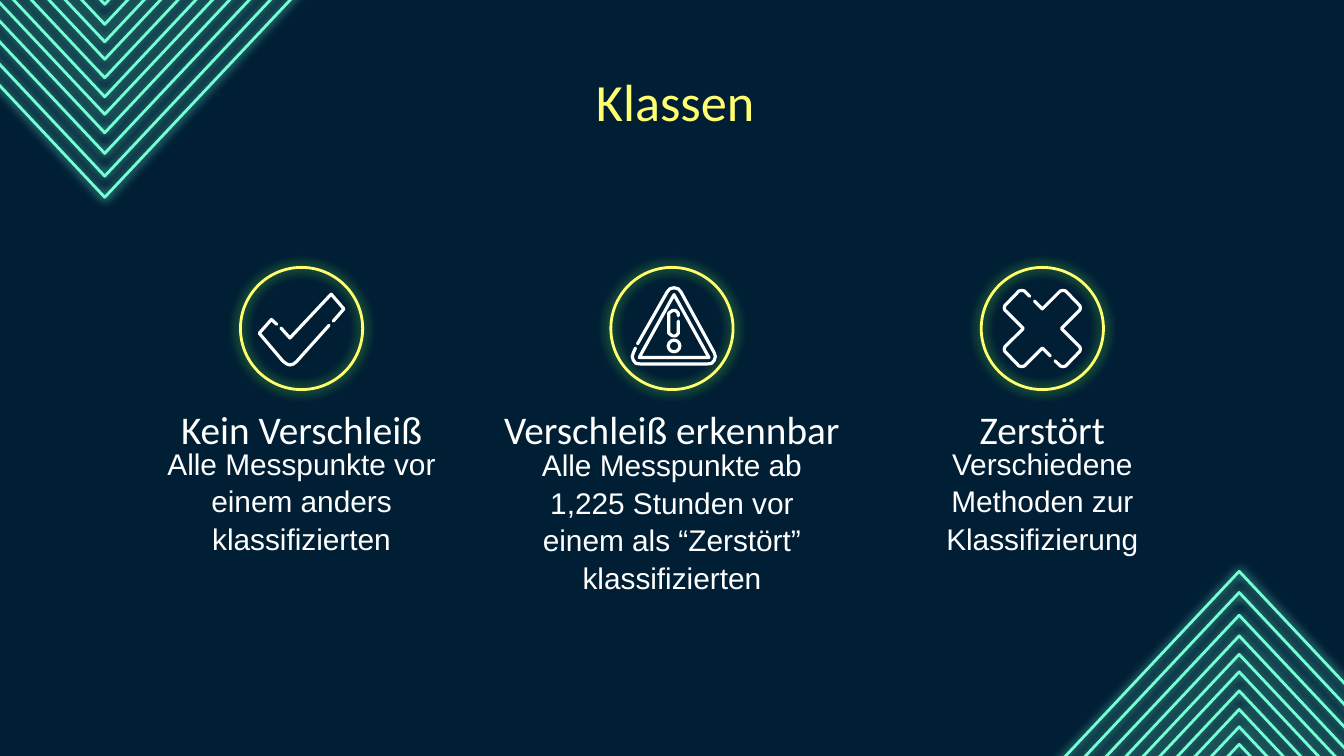
from lxml import etree
from pptx import Presentation
from pptx.dml.color import RGBColor
from pptx.enum.shapes import MSO_SHAPE
from pptx.enum.text import MSO_ANCHOR, PP_ALIGN
from pptx.oxml.ns import qn
from pptx.util import Cm, Pt

OVAL = MSO_SHAPE.OVAL
MIDDLE = MSO_ANCHOR.MIDDLE
CENTER = PP_ALIGN.CENTER

THEME = {
    "background": "001F35", "mint": "75FFD7", "yellow": "FFFF70",
    "white": "FFFFFF", "green_glow": "77FF4A",
    "heading_font": "Calibri", "body_font": "Arial",
    "title_size": 28, "heading_size": 21, "body_size": 16,
    "line": 1.5, "icon_line": 1.7,
}

# Content: all lengths in centimetres
SLIDE_WIDTH, SLIDE_HEIGHT = 25.4, 14.29
TITLE = "Klassen"
CLASSES = [
    {"icon": "check", "heading": "Kein Verschleiß", "heading_width": 5.94,
     "body": "Alle Messpunkte vor einem anders klassifizierten", "body_height": 1.63},
    {"icon": "warning", "heading": "Verschleiß erkennbar", "heading_width": 7.42,
     "body": "Alle Messpunkte ab 1,225 Stunden vor einem als “Zerstört” klassifizierten",
     "body_height": 2.39},
    {"icon": "cross", "heading": "Zerstört", "heading_width": 4.67,
     "body": "Verschiedene Methoden zur Klassifizierung", "body_height": 1.63},
]

# Icon strokes, relative to the centre of the circle
CROSS_HALF = [(-0.15, -0.52), (0, -0.37), (0.34, -0.71), (0.39, -0.72), (0.44, -0.71),
              (0.71, -0.43), (0.72, -0.39), (0.71, -0.35), (0.36, 0), (0.71, 0.35),
              (0.72, 0.39), (0.71, 0.43), (0.44, 0.71), (0.39, 0.72), (0.34, 0.71),
              (0.24, 0.61)]
ICONS = {
    "check": [
        [(-0.47, -0.08), (-0.57, -0.17), (-0.8, 0.09), (-0.35, 0.62), (-0.28, 0.67),
         (-0.22, 0.69), (-0.15, 0.67), (-0.09, 0.62), (0.52, -0.06)],
        [(-0.39, -0.01), (-0.22, 0.18), (0.56, -0.65), (0.8, -0.37), (0.6, -0.14)],
    ],
    "warning": [
        [(-0.65, 0.29), (-0.09, -0.69), (-0.04, -0.75), (0.04, -0.77), (0.12, -0.75),
         (0.17, -0.69), (0.8, 0.46), (0.82, 0.53), (0.8, 0.6), (0.75, 0.66),
         (0.67, 0.67), (-0.6, 0.67), (-0.68, 0.66), (-0.73, 0.6), (-0.75, 0.53),
         (-0.73, 0.46), (-0.69, 0.37)],
        [(0.04, -0.64), (0.7, 0.55), (-0.62, 0.55), (0.04, -0.64)],
        [(0.12, -0.24), (0.12, -0.29), (0.07, -0.34), (0.01, -0.34), (-0.06, -0.29),
         (-0.06, 0.09), (0.01, 0.14), (0.07, 0.14), (0.12, 0.09), (0.12, -0.14)],
    ],
    "cross": [CROSS_HALF, [(-x, -y) for x, y in CROSS_HALF]],
}
WARNING_DOT = {"x": 0.04, "y": 0.33, "diameter": 0.22}

# Chevron families: half width, height, tip positions from the top
CHEVRONS = [
    (4.2, 4.46, [2.9, 2.16, 1.47, 0.79, 0.08]),
    (5.45, 5.8, [3.73, 3.33, 2.51, 1.83, 1.12, 0.46]),
]
CHEVRON_X = 1.98
MIRROR_HEIGHT = 14.53

COLUMN_START, COLUMN_STEP = 5.7, 7
CIRCLE_Y, CIRCLE_DIAMETER = 6.21, 2.31
HEADING_TOP, HEADING_HEIGHT = 7.7, 0.82
BODY_TOP, BODY_WIDTH = 8.64, 5.94


def color(name):
    return RGBColor.from_string(THEME[name])


def style_outline(shape, line_color, width, glow=None, blur=0, opacity=100):
    shape.shadow.inherit = False
    shape.fill.background()
    shape.line.color.rgb = color(line_color)
    shape.line.width = Pt(width)
    line = shape.line._ln
    line.set("cap", "rnd")
    etree.SubElement(line, qn("a:round"))
    if glow:
        effects = shape._element.spPr.find(qn("a:effectLst"))
        shadow = etree.SubElement(effects, qn("a:outerShdw"), blurRad=str(Pt(blur)),
                                  dist="0", dir="0", algn="bl", rotWithShape="0")
        rgb = etree.SubElement(shadow, qn("a:srgbClr"), val=THEME[glow])
        etree.SubElement(rgb, qn("a:alpha"), val=str(opacity * 1000))


def add_stroke(slide, points, **style):
    corners = [(Cm(x), Cm(y)) for x, y in points]
    builder = slide.shapes.build_freeform(*corners[0], scale=1.0)
    builder.add_line_segments(corners[1:], close=points[0] == points[-1])
    style_outline(builder.convert_to_shape(), **style)


def add_circle(slide, x, y, diameter, **style):
    circle = slide.shapes.add_shape(OVAL, Cm(x - diameter / 2), Cm(y - diameter / 2),
                                    Cm(diameter), Cm(diameter))
    style_outline(circle, **style)


def add_text(slide, text, *, center, top, width, height, size, font,
             text_color="white", spacing=1.0):
    box = slide.shapes.add_textbox(Cm(center - width / 2), Cm(top), Cm(width), Cm(height))
    frame = box.text_frame
    frame.word_wrap = True
    frame.vertical_anchor = MIDDLE
    frame.margin_left = frame.margin_right = Cm(0.25)
    frame.margin_top = frame.margin_bottom = Cm(0.25)
    paragraph = frame.paragraphs[0]
    paragraph.alignment = CENTER
    paragraph.line_spacing = spacing
    run = paragraph.add_run()
    run.text = text
    run.font.size = Pt(THEME[size])
    run.font.name = THEME[font]
    run.font.color.rgb = color(text_color)


def add_chevrons(slide, mirrored):
    for half_width, height, tips in CHEVRONS:
        for tip in tips:
            points = [(CHEVRON_X + half_width, tip - height), (CHEVRON_X, tip),
                      (CHEVRON_X - half_width, tip - height)]
            if mirrored:
                points = [(SLIDE_WIDTH - x, MIRROR_HEIGHT - y) for x, y in points]
                if points[1][1] > SLIDE_HEIGHT:
                    continue
            add_stroke(slide, points, line_color="mint", width=THEME["line"],
                       glow="mint", blur=5.6)


def add_class(slide, item, x):
    add_text(slide, item["body"], center=x, top=BODY_TOP, width=BODY_WIDTH,
             height=item["body_height"], size="body_size", font="body_font", spacing=1.05)
    add_text(slide, item["heading"], center=x, top=HEADING_TOP,
             width=item["heading_width"], height=HEADING_HEIGHT,
             size="heading_size", font="heading_font")
    add_circle(slide, x, CIRCLE_Y, CIRCLE_DIAMETER, line_color="yellow",
               width=THEME["line"], glow="green_glow", blur=6.8, opacity=90)
    icon_style = {"line_color": "white", "width": THEME["icon_line"]}
    for stroke in ICONS[item["icon"]]:
        add_stroke(slide, [(x + dx, CIRCLE_Y + dy) for dx, dy in stroke], **icon_style)
    if item["icon"] == "warning":
        add_circle(slide, x + WARNING_DOT["x"], CIRCLE_Y + WARNING_DOT["y"],
                   WARNING_DOT["diameter"], **icon_style)


def main():
    presentation = Presentation()
    presentation.slide_width = Cm(SLIDE_WIDTH)
    presentation.slide_height = Cm(SLIDE_HEIGHT)
    slide = presentation.slides.add_slide(presentation.slide_layouts[6])
    slide.background.fill.solid()
    slide.background.fill.fore_color.rgb = color("background")

    # Corner decoration
    for mirrored in (False, True):
        add_chevrons(slide, mirrored)

    # Title and the three classes
    add_text(slide, TITLE, center=12.76, top=1.5, width=21.56, height=0.81,
             size="title_size", font="heading_font", text_color="yellow")
    for index, item in enumerate(CLASSES):
        add_class(slide, item, COLUMN_START + index * COLUMN_STEP)

    presentation.save("out.pptx")


if __name__ == "__main__":
    main()
